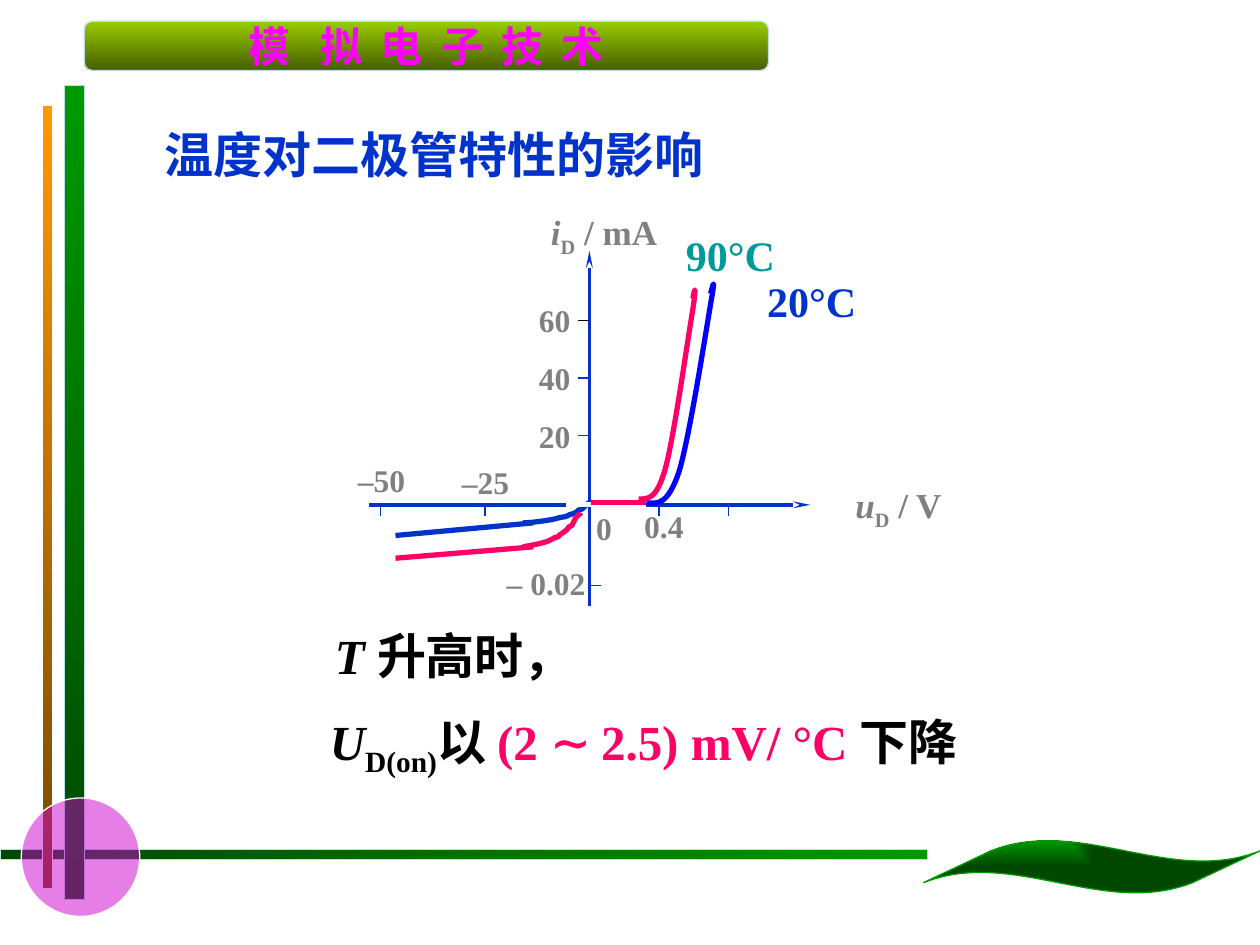
from pptx import Presentation
from pptx.dml.color import RGBColor
from pptx.enum.shapes import MSO_CONNECTOR, MSO_SHAPE
from pptx.enum.text import MSO_ANCHOR, MSO_AUTO_SIZE, PP_ALIGN
from pptx.oxml.ns import qn
from pptx.util import Pt
from lxml.etree import SubElement

BLUE, PINK, GRAY, WHITE, BLACK = "0033CC", "FF0066", "808080", "FFFFFF", "000000"
GREEN, DARK_GREEN, PALE = "009900", "004700", "BBE0E3"
LATIN, CJK = "Times New Roman", "Noto Sans CJK SC"


def rgb(code):
    return RGBColor.from_string(code)


def add_run(p, text, size=18, color=GRAY, font=LATIN, italic=False, base=0, spacing=0):
    """Add a bold run; base is the baseline shift in percent, spacing is in points."""
    r = p.add_run()
    r.text = text
    f = r.font
    f.name, f.size, f.bold, f.italic = font, Pt(size), True, italic
    f.color.rgb = rgb(color)
    rPr = r._r.get_or_add_rPr()
    SubElement(rPr, qn("a:ea")).set("typeface", CJK)
    if base:
        rPr.set("baseline", str(base * 1000))
    if spacing:
        rPr.set("spc", str(round(spacing * 100)))


def bend(sp):
    """Turn each three straight segments of a freeform into one cubic curve."""
    segments = list(sp._element.iter(qn("a:lnTo")))
    outline = segments[0].getparent()
    for i in range(0, len(segments), 3):
        cubic = SubElement(outline, qn("a:cubicBezTo"))
        for segment in segments[i:i + 3]:
            cubic.append(segment[0])
            outline.remove(segment)


class Painter:
    def __init__(self, slide):
        self.s = slide

    def outline(self, sp, color, width):
        sp.line.color.rgb = rgb(color)
        sp.line.width = Pt(width)

    def shape(self, kind, box, colors, line=PALE, width=0.75, angle=0):
        """Add a preset shape filled with one colour or a two-colour gradient."""
        sp = self.s.shapes.add_shape(kind, *map(Pt, box))
        sp.shadow.inherit = False
        if len(colors) == 1:
            sp.fill.solid()
            sp.fill.fore_color.rgb = rgb(colors[0])
        else:
            sp.fill.gradient()
            sp.fill.gradient_angle = angle
            for stop, color, position in zip(sp.fill.gradient_stops, colors, (0, 1)):
                stop.color.rgb = rgb(color)
                stop.position = position
        self.outline(sp, line, width)
        return sp

    def line(self, x1, y1, x2, y2, color=BLUE, width=0.75, arrow=False):
        cx = self.s.shapes.add_connector(MSO_CONNECTOR.STRAIGHT, *map(Pt, (x1, y1, x2, y2)))
        self.outline(cx, color, width)
        if arrow:
            tail = SubElement(cx.line._get_or_add_ln(), qn("a:tailEnd"))
            for name, value in (("type", "stealth"), ("w", "sm"), ("len", "lg")):
                tail.set(name, value)
        SubElement(cx._element.spPr, qn("a:effectLst"))

    def curve(self, points, color, fill=None):
        """Draw a chain of cubic curves: a start point, then three points per curve."""
        start, *rest = [tuple(map(Pt, point)) for point in points]
        builder = self.s.shapes.build_freeform(*start)
        builder.add_line_segments(rest, close=False)
        sp = builder.convert_to_shape()
        bend(sp)
        sp.shadow.inherit = False
        if fill:
            sp.fill.solid()
            sp.fill.fore_color.rgb = rgb(fill)
        else:
            sp.fill.background()
        self.outline(sp, color, 3)

    def text(self, box, *runs, **style):
        """Add a text box; each run is (text, overrides of the shared style)."""
        tf = self.s.shapes.add_textbox(*map(Pt, box)).text_frame
        tf.word_wrap = True
        tf.auto_size = MSO_AUTO_SIZE.SHAPE_TO_FIT_TEXT
        for text, extra in runs:
            add_run(tf.paragraphs[0], text, **{**style, **extra})
        return tf

    def label(self, box, *runs, **style):
        """Add a centred text box that does not wrap."""
        tf = self.text(box, *runs, **style)
        tf.word_wrap = False
        tf.vertical_anchor = MSO_ANCHOR.MIDDLE
        tf.paragraphs[0].alignment = PP_ALIGN.CENTER


def draw_frame(d):
    d.shape(MSO_SHAPE.RECTANGLE, (0, 485.3, 530, 5.8), (DARK_GREEN, GREEN))
    d.shape(MSO_SHAPE.RECTANGLE, (36.9, 49, 11.3, 465), (GREEN, DARK_GREEN), angle=270)
    d.shape(MSO_SHAPE.RECTANGLE, (24.1, 60, 5.8, 448), ("FF9900", "764700"),
            WHITE, 0.5, angle=270)
    disc = d.shape(MSO_SHAPE.OVAL, (12.2, 456, 67.7, 67.7), ("CC00CC",), WHITE)
    color = disc._element.spPr.find(qn("a:solidFill"))[0]
    SubElement(color, qn("a:alpha")).set("val", "50000")

    banner = d.shape(MSO_SHAPE.FLOWCHART_ALTERNATE_PROCESS, (48.2, 12.2, 391, 28.1),
                     ("99CC00", "475E00"), angle=270)
    tf = banner.text_frame
    tf.word_wrap = False
    tf.vertical_anchor = MSO_ANCHOR.MIDDLE
    p = tf.paragraphs[0]
    p.alignment = PP_ALIGN.CENTER
    for text, spacing in (("模 ", 5.8), ("拟 电 子 技 术", 2.5)):
        add_run(p, text, 24, "FF00FF", CJK, spacing=spacing)

    leaf = d.shape(MSO_SHAPE.WAVE, (527.8, 480.2, 192.2, 30.2), (GREEN, DARK_GREEN), GREEN)
    leaf.adjustments[0], leaf.adjustments[1] = 0.206, -0.1
    grad = leaf._element.spPr.find(qn("a:gradFill"))
    grad.remove(grad.find(qn("a:lin")))
    focus = SubElement(grad, qn("a:path"))
    focus.set("path", "rect")
    rect = SubElement(focus, qn("a:fillToRect"))
    rect.set("r", "100000")
    rect.set("b", "100000")


def draw_plot(d):
    axis_x, axis_y = 336.8, 288.5
    d.line(211, axis_y, 463, axis_y, width=2, arrow=True)
    d.line(axis_x, 346.3, axis_x, 143.3, width=2, arrow=True)
    d.line(226, 306, 304.6, 298.8, width=3)
    d.curve([(298.8, 298.8), (303.1, 298.8), (313.2, 297.4), (316.8, 296.6),
             (321.8, 295.2), (319.7, 295.9), (323.3, 295.2),
             (324, 295.2), (324, 294.5), (324.7, 294.5),
             (325.4, 293.8), (326.9, 293.8), (326.9, 293.8),
             (333.4, 290.9), (327.6, 292.3), (332.6, 290.9),
             (333.4, 290.2), (334.1, 289.4), (335.5, 288),
             (338.4, 285.8), (338.4, 287.3), (338.4, 285.8)], BLUE)

    for i, (value, color) in enumerate((("60", BLACK), ("40", BLUE), ("20", BLUE))):
        y = 183 + 33 * i
        d.line(axis_x - 6.5, y, axis_x, y, color)
        d.label((300.7, y - 14.5, 32.4, 28.8), (value, {}))
    d.line(axis_x, 334.6, axis_x + 6.5, 334.6)
    for x in (217.4, 277.2, 376.6, 416.2):
        d.line(x, axis_y, x, axis_y + 6.5)
    for value, x, y, w in (("– 0.02", 282.2, 318.7, 59.8), ("0", 333.2, 287.3, 23.8),
                           ("0.4", 361, 286.2, 36.7), ("–25", 256.5, 261, 41.8),
                           ("–50", 197.1, 259.6, 41.8)):
        d.label((x, y, w, 28.8), (value, {}))
    d.label((307.4, 118.5, 75.6, 31), ("i", {"italic": True}), ("D", {"base": -25}),
            (" / mA", {}), size=20)
    d.label((481, 274.3, 64.8, 31), ("u", {"italic": True}), ("D", {"base": -25}),
            (" / V", {}), size=20)
    d.line(389.5, axis_y, 389.5, axis_y)

    d.curve([(369.4, 287.3), (375.8, 288), (381.6, 288.7), (388.1, 269.3),
             (393.8, 250.6), (403.2, 190.8), (406.1, 173.5),
             (409, 157), (407.5, 162), (406.1, 167.8)], "0000FF", WHITE)
    d.line(323.3, axis_y, 369.4, axis_y, WHITE, 3)
    d.text((431.3, 154.1, 118, 36), ("20°C", {}), size=24, color=BLUE)
    d.curve([(365, 285.1), (370.1, 285.1), (375.1, 285.8), (380.2, 267.8),
             (385.2, 249.8), (393.1, 193), (396, 176.4),
             (398.2, 160.6), (396.7, 165.6), (396, 170.6)], PINK)
    d.line(337.7, 287.3, 369.4, 287.3, PINK, 3)
    d.curve([(298.8, 312.5), (302.4, 311.8), (311, 310.3), (313.9, 308.9),
             (318.2, 306.7), (316.1, 307.4), (319, 306.7),
             (319.7, 306), (319.7, 305.3), (320.4, 305.3),
             (321.1, 304.6), (321.8, 304.6), (322.6, 303.8),
             (327.6, 299.5), (322.6, 302.4), (326.9, 300.2),
             (327.6, 298.8), (328.3, 297.4), (329, 295.9),
             (331.9, 292.3), (331.9, 294.5), (331.9, 293)], PINK)
    d.line(226, 319, 304.6, 312.5, PINK, 3)
    d.text((384.9, 127.4, 118, 36), ("90°C", {}), size=24, color="009999")


def main():
    prs = Presentation()
    prs.slide_width, prs.slide_height = Pt(720), Pt(540)
    d = Painter(prs.slides.add_slide(prs.slide_layouts[6]))
    draw_frame(d)
    d.text((87.1, 67.7, 432, 41), ("温度对二极管特性的影响", {}), size=28, color=BLUE)
    draw_plot(d)
    d.text((184.3, 354.2, 183, 41), ("T ", {"italic": True}), ("升高时，", {}),
           size=28, color=BLACK)
    d.text((181.4, 401.8, 444, 41), ("U", {"italic": True}),
           ("D(on)", {"size": 29, "base": -25}), ("以 ", {}),
           ("(2 ∼ 2.5) mV/ °C ", {"color": PINK}), ("下降", {}), size=28, color=BLACK)
    prs.save("out.pptx")


if __name__ == "__main__":
    main()
